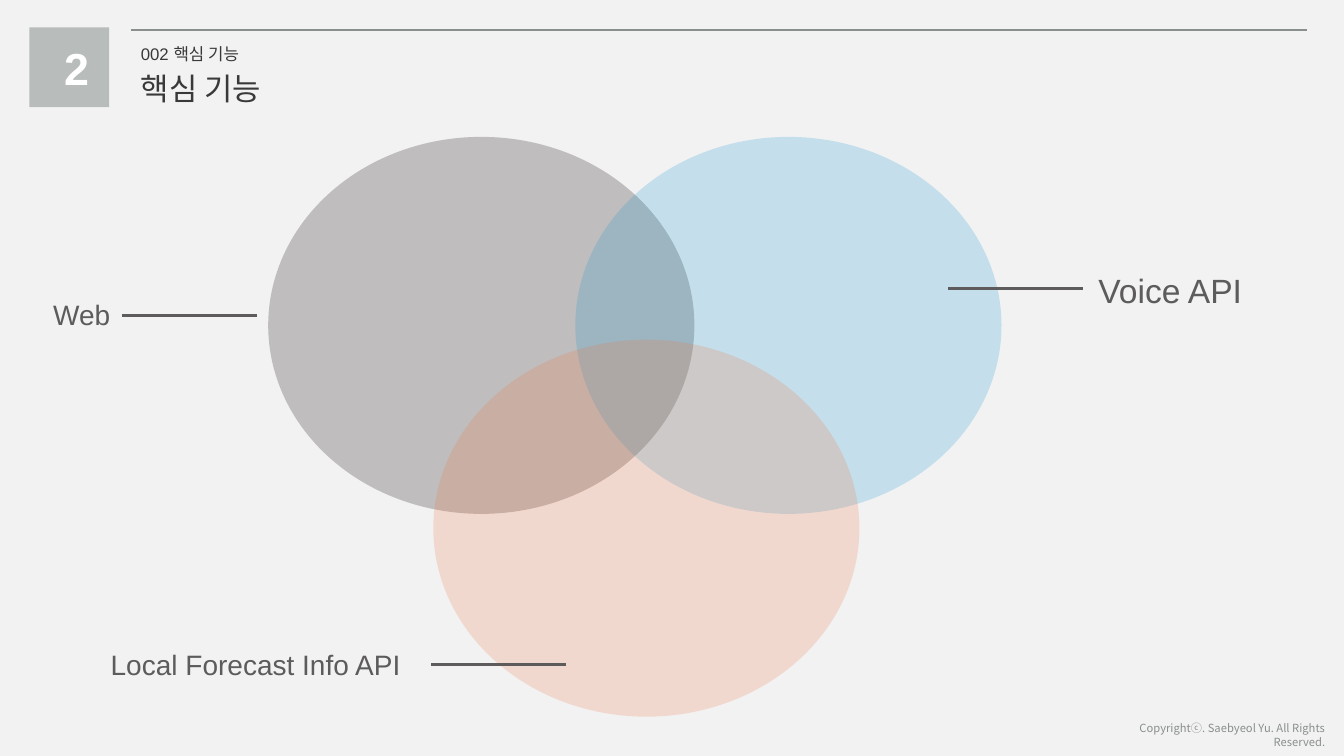
from lxml.etree import SubElement
from pptx import Presentation
from pptx.dml.color import RGBColor
from pptx.enum.shapes import MSO_CONNECTOR, MSO_SHAPE
from pptx.enum.text import MSO_AUTO_SIZE, PP_ALIGN
from pptx.oxml.ns import qn
from pptx.util import Cm, Pt

BACKGROUND = "F2F2F2"
HEADING = "3A3838"
LABEL = "5D5B5B"
RULE = "898F8D"
BADGE = "B8BCBB"
WHITE = "FFFFFF"

CIRCLE_WIDTH, CIRCLE_HEIGHT = 10.74, 9.5
POINTER_LENGTH = 3.4


def paint(fill, color, opacity=100):
    fill.solid()
    fill.fore_color.rgb = RGBColor.from_string(color)
    if opacity < 100:
        color_node = fill._xPr.find(f".//{qn('a:srgbClr')}")
        SubElement(color_node, qn("a:alpha"), val=str(opacity * 1000))


def add_filled_shape(page, kind, left, top, width, height, color, opacity=100):
    shape = page.shapes.add_shape(kind, Cm(left), Cm(top), Cm(width), Cm(height))
    shape.shadow.inherit = False
    shape.line.fill.background()
    paint(shape.fill, color, opacity)


def add_text(page, text, left, top, width, height, size, color,
             bold=False, wrap=False, align=PP_ALIGN.LEFT, font="Arial"):
    box = page.shapes.add_textbox(Cm(left), Cm(top), Cm(width), Cm(height))
    frame = box.text_frame
    frame.word_wrap = wrap
    frame.auto_size = MSO_AUTO_SIZE.SHAPE_TO_FIT_TEXT
    frame.text = text
    para = frame.paragraphs[0]
    para.alignment = align
    for span in para.runs:
        span.font.name = font
        span.font.size = Pt(size)
        span.font.bold = bold
        paint(span.font.fill, color)


def add_rule(page, left, top, length, color, weight):
    rule = page.shapes.add_connector(
        MSO_CONNECTOR.STRAIGHT, Cm(left), Cm(top), Cm(left + length), Cm(top))
    paint(rule.line.fill, color)
    rule.line.width = Pt(weight)
    SubElement(rule._element.spPr, qn("a:effectLst"))


def add_header(page):
    add_rule(page, 3.3, 0.76, 29.64, RULE, 1.5)
    add_filled_shape(page, MSO_SHAPE.RECTANGLE, 0.74, 0.69, 2.01, 2.01, BADGE)
    add_text(page, "2", 1.37, 0.89, 0.71, 1.63, 32, WHITE,
             bold=True, wrap=True, align=PP_ALIGN.CENTER)
    add_text(page, "002 핵심 기능", 3.3, 0.97, 3.18, 0.76, 12, HEADING)
    add_text(page, "핵심 기능", 3.3, 1.63, 3.86, 1.19, 22, HEADING)


def add_venn(page):
    circles = [
        (6.76, 3.45, "BFBDBD", 100),
        (14.5, 3.45, "1097D0", 20),
        (10.92, 8.56, "F17442", 20),
    ]
    for left, top, color, opacity in circles:
        add_filled_shape(page, MSO_SHAPE.OVAL, left, top,
                         CIRCLE_WIDTH, CIRCLE_HEIGHT, color, opacity)


def add_labels(page):
    labels = [
        ("Voice API", 27.43, 6.68, 4.17, 1.27, 24, 23.9, 7.26),
        ("Local Forecast Info API", 2.54, 16.18, 7.85, 1.12, 20, 10.87, 16.74),
        ("Web", 1.09, 7.37, 1.96, 1.12, 20, 3.07, 7.95),
    ]
    for text, left, top, width, height, size, pointer_left, pointer_top in labels:
        add_text(page, text, left, top, width, height, size, LABEL)
        add_rule(page, pointer_left, pointer_top, POINTER_LENGTH, LABEL, 2.25)


def add_footer(page):
    add_text(page, "Copyrightⓒ. Saebyeol Yu. All Rights Reserved.",
             27.43, 18.06, 6.22, 0.61, 8, RULE,
             wrap=True, align=PP_ALIGN.RIGHT, font="Noto Sans CJK KR")


def main():
    deck = Presentation()
    deck.slide_width, deck.slide_height = Cm(33.87), Cm(19.05)
    page = deck.slides.add_slide(deck.slide_layouts[6])
    paint(page.background.fill, BACKGROUND)
    add_header(page)
    add_venn(page)
    add_labels(page)
    add_footer(page)
    deck.save("out.pptx")


if __name__ == "__main__":
    main()
